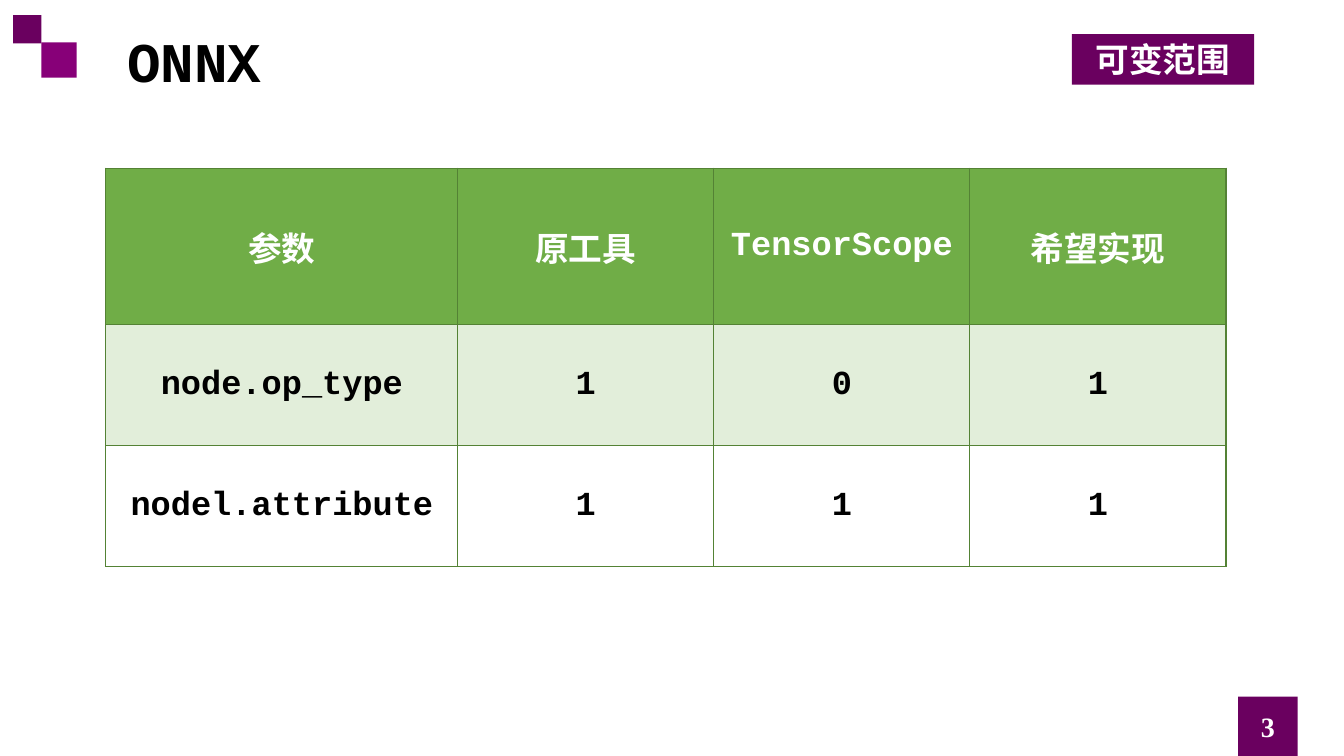
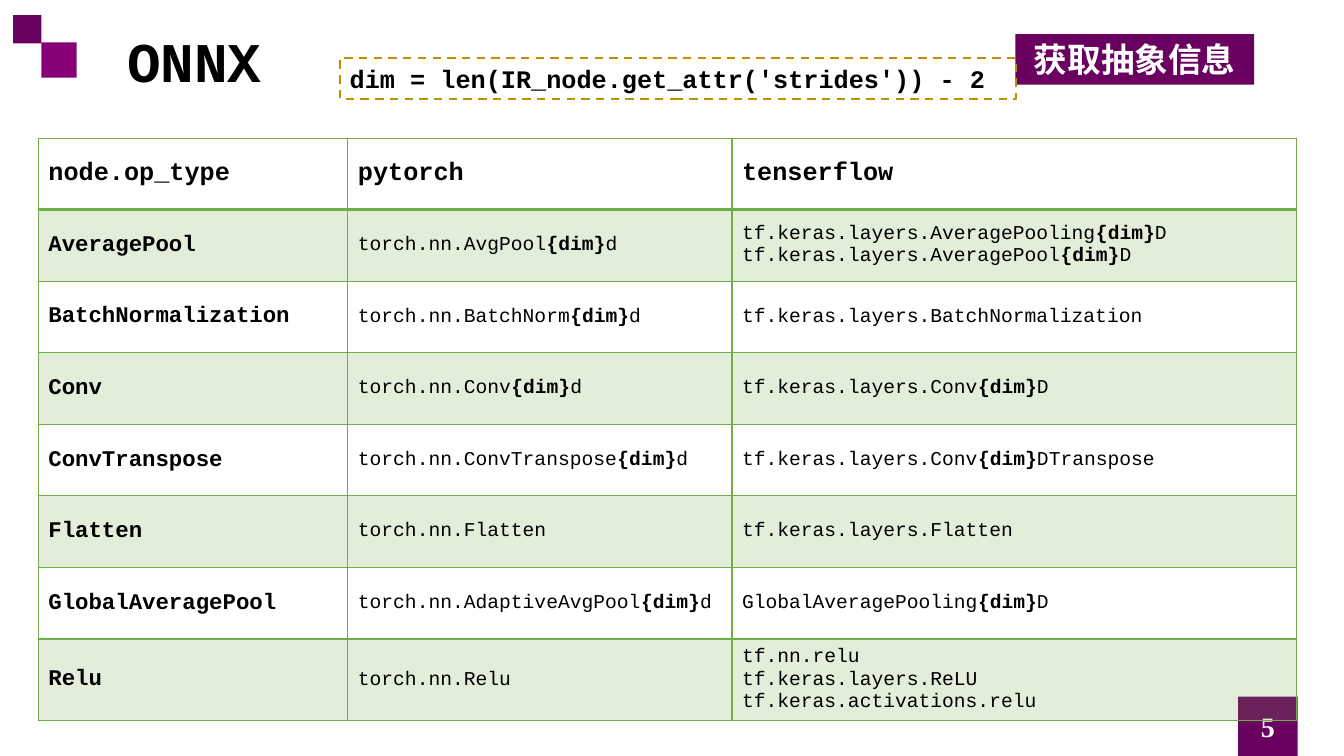
from lxml.etree import SubElement
from pptx import Presentation
from pptx.dml.color import RGBColor
from pptx.enum.dml import MSO_LINE
from pptx.enum.shapes import MSO_SHAPE
from pptx.enum.text import MSO_ANCHOR, MSO_AUTO_SIZE, PP_ALIGN
from pptx.oxml.ns import qn
from pptx.util import Inches, Pt

PURPLE = RGBColor(0x6A, 0x00, 0x5F)
BRIGHT_PURPLE = RGBColor(0x87, 0x00, 0x78)
GREEN = RGBColor(0x70, 0xAD, 0x47)
DARK_GREEN = RGBColor(0x54, 0x82, 0x35)
GOLD = RGBColor(0xBF, 0x90, 0x00)
BLACK = RGBColor(0x00, 0x00, 0x00)
WHITE = RGBColor(0xFF, 0xFF, 0xFF)

CODE_FONT = "Courier New"
CHINESE_FONT = "Noto Sans CJK SC"
NUMBER_FONT = "Times New Roman"
PLAIN_TABLE_STYLE = "{2D5ABB26-0587-4C30-8999-92F81FD0307C}"
MARK = "{dim}"
BADGE_RIGHT = 12.44


class SlideBuilder:
    """Holds the deck, its style and the current page."""

    def __init__(self):
        self.deck = Presentation()
        self.deck.slide_width = Inches(13.33)
        self.deck.slide_height = Inches(7.5)
        self.page = None

    def start_page(self, title, number, badge, badge_width):
        self.page = self.deck.slides.add_slide(self.deck.slide_layouts[5])
        # Corner squares and page number
        self.box(0.41, 0.42, 0.35, 0.35, fill=BRIGHT_PURPLE)
        self.box(0.13, 0.15, 0.28, 0.28, fill=PURPLE)
        number_box = self.box(12.28, 6.91, 0.59, 0.59, fill=PURPLE)
        self.add_text(number_box.text_frame, number, 20, WHITE,
                      PP_ALIGN.CENTER, font=NUMBER_FONT)
        # Title
        heading = self.page.shapes.title
        heading.left, heading.top = Inches(1.16), Inches(0.21)
        heading.width, heading.height = Inches(1.63), Inches(0.77)
        heading.text_frame.auto_size = MSO_AUTO_SIZE.NONE
        heading.text_frame.vertical_anchor = MSO_ANCHOR.TOP
        self.add_text(heading.text_frame, title, 40, BLACK)
        # Topic badge, aligned to the right
        badge_box = self.box(BADGE_RIGHT - badge_width, 0.34, badge_width, 0.5,
                             fill=PURPLE)
        self.add_text(badge_box.text_frame, badge, 24, WHITE, PP_ALIGN.CENTER)

    def box(self, left, top, width, height, fill=None, dash=None):
        box = self.page.shapes.add_shape(
            MSO_SHAPE.RECTANGLE, Inches(left), Inches(top),
            Inches(width), Inches(height))
        box.shadow.inherit = False
        if fill is None:
            box.fill.background()
        else:
            box.fill.solid()
            box.fill.fore_color.rgb = fill
        if dash is None:
            box.line.fill.background()
        else:
            box.line.color.rgb = dash
            box.line.width = Pt(1.5)
            box.line.dash_style = MSO_LINE.DASH
        box.text_frame.vertical_anchor = MSO_ANCHOR.MIDDLE
        return box

    def add_text(self, frame, text, size, color, align=PP_ALIGN.LEFT,
                 bold=True, font=CODE_FONT):
        """Add one paragraph per line; the dimension mark is always bold."""
        frame.word_wrap = True
        for index, line in enumerate(text.split("\n")):
            paragraph = frame.add_paragraph() if index else frame.paragraphs[0]
            paragraph.alignment = align
            style = paragraph.font
            style.name, style.size = font, Pt(size)
            style.color.rgb = color
            properties = paragraph._p.pPr.find(qn("a:defRPr"))
            SubElement(properties, qn("a:ea"), typeface=CHINESE_FONT)
            for part in filter(None, line.partition(MARK)):
                span = paragraph.add_run()
                span.text = part
                span.font.bold = bold or part == MARK

    def table(self, left, top, widths, heights):
        frame = self.page.shapes.add_table(
            len(heights), len(widths), Inches(left), Inches(top),
            Inches(sum(widths)), Inches(sum(heights)))
        table = frame.table
        table.first_row = table.horz_banding = False
        table._tbl.tblPr.find(qn("a:tableStyleId")).text = PLAIN_TABLE_STYLE
        for column, width in zip(table.columns, widths):
            column.width = Inches(width)
        for row, height in zip(table.rows, heights):
            row.height = Inches(height)
        return table

    def cell(self, cell, text, size, color, border, fill=None, opacity=100,
             align=PP_ALIGN.LEFT, bold=True, top=1, bottom=1):
        cell.vertical_anchor = MSO_ANCHOR.MIDDLE
        properties = cell._tc.get_or_add_tcPr()
        for side, points in (("L", 1), ("R", 1), ("T", top), ("B", bottom)):
            line = SubElement(properties, qn(f"a:ln{side}"), w=str(Pt(points)))
            solid = SubElement(line, qn("a:solidFill"))
            SubElement(solid, qn("a:srgbClr"), val=str(border))
        if fill is None:
            cell.fill.background()
        else:
            cell.fill.solid()
            cell.fill.fore_color.rgb = fill
            shade = properties.find(qn("a:solidFill")).find(qn("a:srgbClr"))
            SubElement(shade, qn("a:alpha"), val=str(opacity * 1000))
        self.add_text(cell.text_frame, text, size, color, align, bold)


def build_range_page(builder):
    builder.start_page("ONNX", "3", "可变范围", 1.81)
    rows = [
        ("参数", "原工具", "TensorScope", "希望实现"),
        ("node.op_type", "1", "0", "1"),
        ("nodel.attribute", "1", "1", "1"),
    ]
    table = builder.table(1.05, 1.67, [3.49] + [2.54] * 3, [1.55, 1.2, 1.2])
    for row, texts in enumerate(rows):
        for column, text in enumerate(texts):
            builder.cell(
                table.cell(row, column), text, 24,
                BLACK if row else WHITE, DARK_GREEN,
                fill=GREEN if row < 2 else None,
                opacity=20 if row else 100, align=PP_ALIGN.CENTER)


def build_mapping_page(builder):
    builder.start_page("ONNX", "5", "获取抽象信息", 2.37)
    rows = [
        ("node.op_type", "pytorch", "tenserflow"),
        ("AveragePool", "torch.nn.AvgPool{dim}d",
         "tf.keras.layers.AveragePooling{dim}D\n"
         "tf.keras.layers.AveragePool{dim}D"),
        ("BatchNormalization", "torch.nn.BatchNorm{dim}d",
         "tf.keras.layers.BatchNormalization"),
        ("Conv", "torch.nn.Conv{dim}d", "tf.keras.layers.Conv{dim}D"),
        ("ConvTranspose", "torch.nn.ConvTranspose{dim}d",
         "tf.keras.layers.Conv{dim}DTranspose"),
        ("Flatten", "torch.nn.Flatten", "tf.keras.layers.Flatten"),
        ("GlobalAveragePool", "torch.nn.AdaptiveAvgPool{dim}d",
         "GlobalAveragePooling{dim}D"),
        ("Relu", "torch.nn.Relu",
         "tf.nn.relu\ntf.keras.layers.ReLU\ntf.keras.activations.relu"),
    ]
    table = builder.table(0.38, 1.37, [3.07, 3.81, 5.6], [0.71] * 7 + [0.81])
    for row, texts in enumerate(rows):
        for column, text in enumerate(texts):
            size = 18 if row == 0 else 14 if column else 16
            builder.cell(
                table.cell(row, column), text, size, BLACK, GREEN,
                fill=GREEN if row % 2 else None, opacity=20,
                bold=row == 0 or column == 0,
                top=2 if row == 1 else 1, bottom=1 if row else 2)
    # Formula for the dimension
    formula = builder.box(3.37, 0.58, 6.71, 0.4, dash=GOLD)
    builder.add_text(formula.text_frame,
                     "dim = len(IR_node.get_attr('strides')) - 2", 18, BLACK)


def main():
    builder = SlideBuilder()
    build_range_page(builder)
    build_mapping_page(builder)
    builder.deck.save("out.pptx")


if __name__ == "__main__":
    main()
